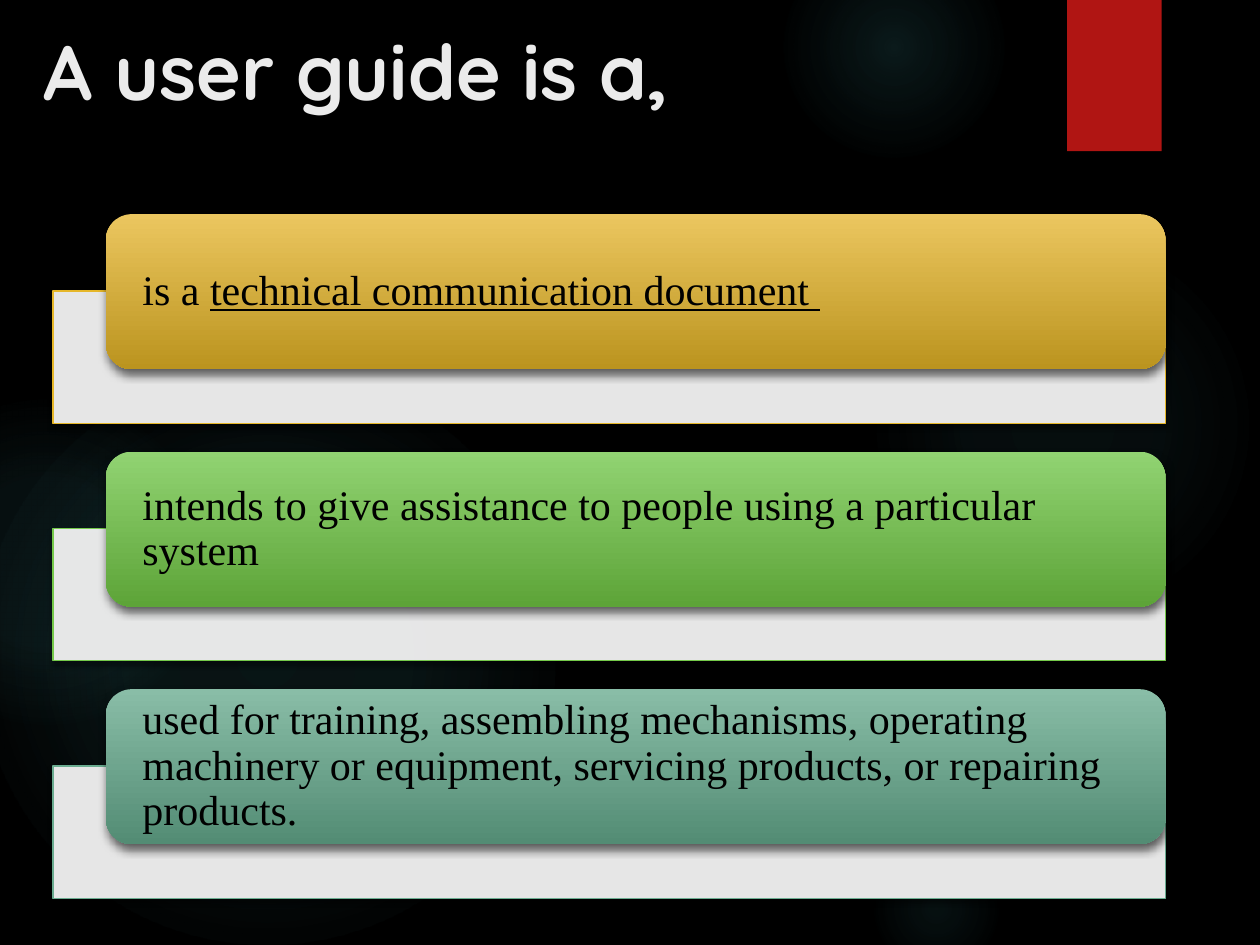
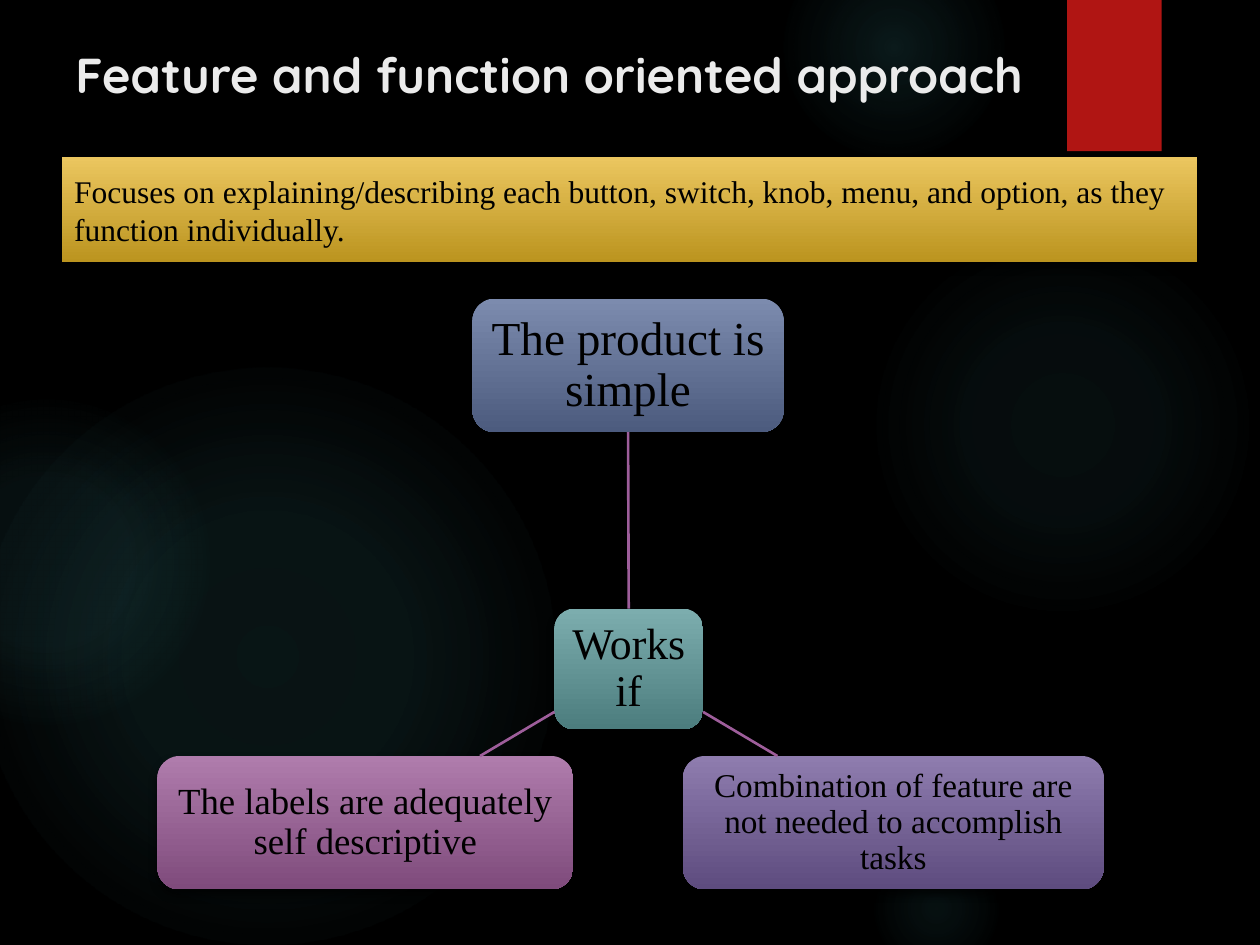
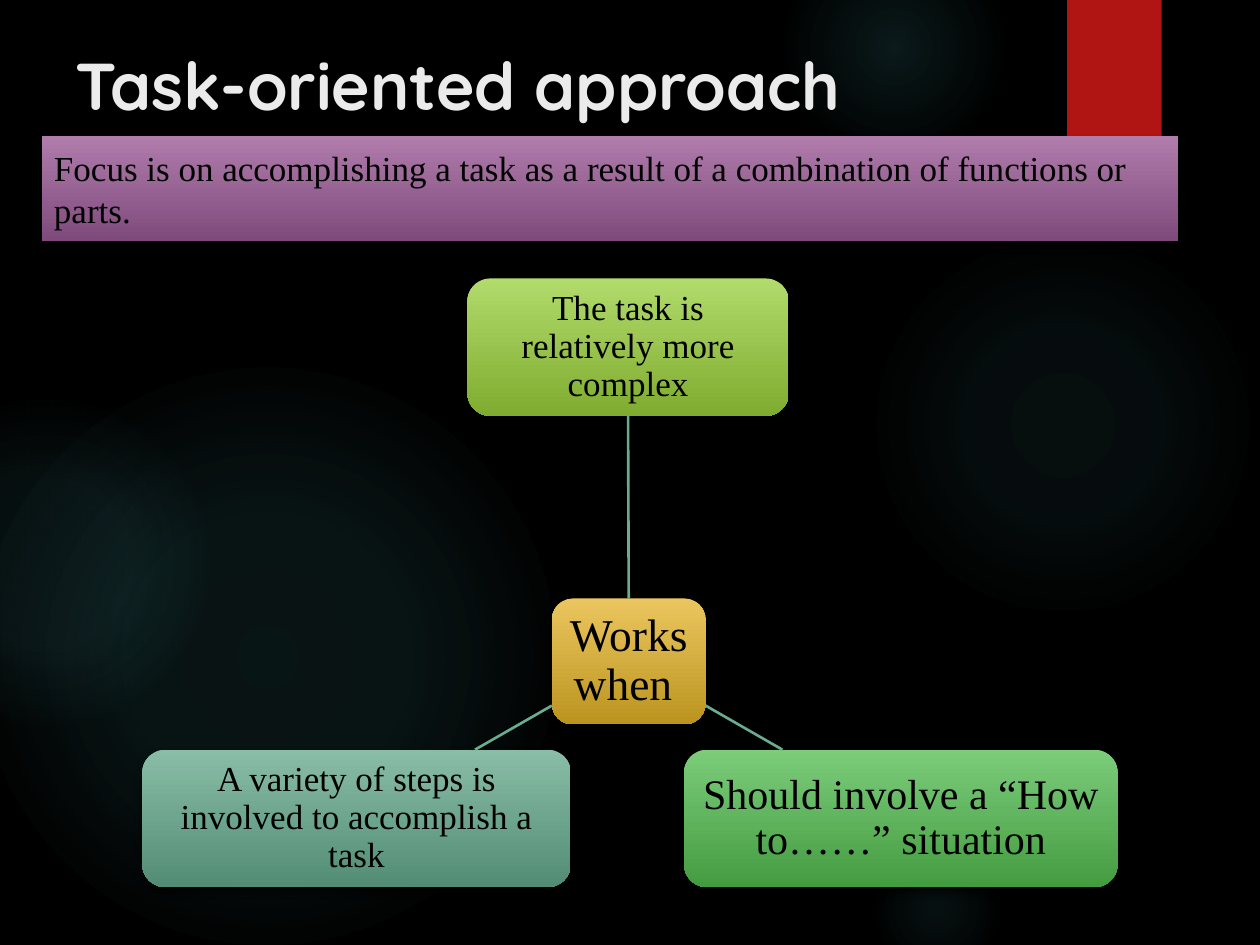
from lxml import etree
from pptx import Presentation
from pptx import util as u
from pptx.dml import color
from pptx.enum import shapes, text
from pptx.oxml import ns

BLACK, WHITE, RED, GLOW, TITLE = "000000", "FFFFFF", "B01513", "50B9C1", "EBEBEB"
GOLD = ("EBC65F", "BB941F")
GREEN = ("91D372", "5DA438")
SAGE = ("89BDA7", "538C74")
TEAL = ("7CADAE", "4C7D7E")
BLUE = ("7C8BAE", "4C5B7E")
VIOLET = ("8E7CAE", "5E4C7F")
PLUM = ("AF7CAC", "7F4B7C")
LIME = ("B1DB6B", "7FAC30")
LEAF = ("7CCC7A", "449C41")
TITLE_FONT, BODY_FONT = "Quicksand", "Times New Roman"
RECT = shapes.MSO_SHAPE.RECTANGLE
ROUND = shapes.MSO_SHAPE.ROUNDED_RECTANGLE
OVAL = shapes.MSO_SHAPE.OVAL
CENTER = text.PP_ALIGN.CENTER
GLOWS = [
    (6.89, 1.83, 3.08, ((0, 7), (36, 6), (69, 0))),
    (6.22, -0.5, 1.75, ((0, 14), (36, 7), (73, 0))),
    (6.89, 6.67, 1.08, ((0, 9), (36, 5), (66, 0))),
    (-0.17, 2.92, 4.58, ((0, 11), (36, 10), (75, 0))),
    (-0.92, 3.17, 2.58, ((0, 8), (36, 8), (72, 0))),
]


def rgb(value):
    return color.RGBColor.from_string(value)


def child(parent, tag, **attributes):
    values = {name: str(value) for name, value in attributes.items()}
    return etree.SubElement(parent, ns.qn("a:" + tag), values)


def add_color(parent, value, alpha=100):
    node = child(parent, "srgbClr", val=value)
    if alpha < 100:
        child(node, "alpha", val=alpha * 1000)


def add_box(page, kind, left, top, width, height):
    box = page.shapes.add_shape(kind, *map(u.Inches, (left, top, width, height)))
    box.shadow.inherit = False
    box.fill.background()
    box.line.fill.background()
    return box


def fill_solid(box, value, alpha=100):
    box.fill.solid()
    box.fill.fore_color.rgb = rgb(value)
    if alpha < 100:
        node = box._element.spPr.find(".//" + ns.qn("a:srgbClr"))
        child(node, "alpha", val=alpha * 1000)


def fill_gradient(box, stops, radial=False):
    properties = box._element.spPr
    gradient = etree.Element(ns.qn("a:gradFill"), rotWithShape="1")
    stop_list = child(gradient, "gsLst")
    for position, value, alpha in stops:
        add_color(child(stop_list, "gs", pos=position * 1000), value, alpha)
    if radial:
        shade = child(gradient, "path", path="circle")
        child(shade, "fillToRect", l=50000, t=50000, r=50000, b=50000)
    else:
        child(gradient, "lin", ang=5400000, scaled=0)
    properties.replace(properties.find(ns.qn("a:noFill")), gradient)


def add_shadow(box, alpha, blur, distance):
    effects = box._element.spPr.find(ns.qn("a:effectLst"))
    shadow = child(effects, "outerShdw", blurRad=u.Pt(blur), dist=u.Pt(distance),
                   dir=5400000, algn="ctr", rotWithShape=0)
    add_color(shadow, BLACK, alpha)


def write_text(box, spans, size, font=BODY_FONT, ink=BLACK, bold=False, align=text.PP_ALIGN.LEFT,
               anchor=text.MSO_ANCHOR.MIDDLE, spacing=None, insets=(0.1, 0.05)):
    frame = box.text_frame
    frame.word_wrap = True
    frame.vertical_anchor = anchor
    frame.margin_left = frame.margin_right = u.Inches(insets[0])
    frame.margin_top = frame.margin_bottom = u.Inches(insets[1])
    para = frame.paragraphs[0]
    para.alignment = align
    para.line_spacing = spacing
    for words, underline in [(spans, None)] if isinstance(spans, str) else spans:
        span = para.add_run()
        span.text = words
        span.font.name, span.font.size = font, u.Pt(size)
        span.font.bold, span.font.underline = bold, underline
        span.font.color.rgb = rgb(ink)


def add_panel(page, kind, place, shades, words, size, **layout):
    panel = add_box(page, kind, *place)
    fill_gradient(panel, [(0, shades[0], 100), (100, shades[1], 100)])
    add_shadow(panel, 60, 5, 3)
    write_text(panel, words, size, **layout)
    return panel


def add_page(deck, title, size, place=(0.5, 0.3, 9, 0.78)):
    page = deck.slides.add_slide(deck.slide_layouts[6])
    page.background.fill.solid()
    page.background.fill.fore_color.rgb = rgb(BLACK)
    for left, top, diameter, stops in GLOWS:
        glow = add_box(page, OVAL, left, top, diameter, diameter)
        fill_gradient(glow, [(position, GLOW, alpha) for position, alpha in stops], radial=True)
    ribbon = add_box(page, RECT, 8.47, 0, 0.75, 1.2)
    fill_solid(ribbon, RED)
    add_shadow(ribbon, 45, 3, 2)
    heading = page.shapes.add_textbox(*map(u.Inches, place))
    write_text(heading, title, size, font=TITLE_FONT, ink=TITLE, bold=True,
               anchor=text.MSO_ANCHOR.TOP)
    return page


def add_definition(page, top, shades, edge, words):
    tray = add_box(page, RECT, 0.42, top + 0.61, 8.83, 1.05)
    fill_solid(tray, WHITE, 90)
    tray.line.color.rgb = rgb(edge)
    tray.line.width = u.Pt(0.75)
    add_shadow(tray, 45, 3, 2)
    add_panel(page, ROUND, (0.84, top, 8.41, 1.23), shades, words, 24,
              spacing=0.9, insets=(0.23, 0))


def add_link(page, ink, start=(0, 0), end=(0, 0)):
    link = page.shapes.add_connector(shapes.MSO_CONNECTOR.STRAIGHT,
                                     *map(u.Inches, (*start, *end)))
    link.line.color.rgb = rgb(ink)
    link.line.width = u.Pt(1.5)
    child(link._element.spPr, "effectLst")
    return link


def add_condition_tree(page, ink, nodes, branches):
    hub, head, *_ = [
        add_panel(page, ROUND, place, shades, words, size, align=CENTER,
                  spacing=0.9, insets=(inset, inset))
        for place, shades, words, size, inset in nodes
    ]
    stem = add_link(page, ink)
    stem.begin_connect(hub, 0)
    stem.end_connect(head, 2)
    for start, end in branches:
        add_link(page, ink, start, end)


def main():
    deck = Presentation()
    deck.slide_width, deck.slide_height = u.Inches(10), u.Inches(7.5)

    page = add_page(deck, "A user guide is a,", 44, (0.25, 0.14, 7.72, 0.94))
    definitions = [
        (GOLD, "E6B729", [("is a ", None), ("technical communication document ", True)]),
        (GREEN, "75C94A", "intends to give assistance to people using a particular system"),
        (SAGE, "6AAC90", "used for training, assembling mechanisms, operating machinery or "
                         "equipment, servicing products, or repairing products."),
    ]
    for index, definition in enumerate(definitions):
        add_definition(page, 1.7 + index * 1.885, *definition)

    page = add_page(deck, "Feature and function oriented approach", 28)
    add_condition_tree(page, "9E5E9B", [
        ((4.4, 4.83, 1.18, 0.96), TEAL, "Works if", 25, 0.07),
        ((3.75, 2.37, 2.47, 1.06), BLUE, "The product is simple", 27, 0.07),
        ((5.42, 6, 3.34, 1.06), VIOLET,
         "Combination of feature are not needed to accomplish tasks", 19, 0.05),
        ((1.25, 6, 3.3, 1.06), PLUM, "The labels are adequately self descriptive", 21, 0.06),
    ], [((5.58, 5.65), (6.17, 6)), ((4.4, 5.65), (3.81, 6))])
    add_panel(page, RECT, (0.49, 1.25, 9.01, 0.83), GOLD,
              "Focuses on explaining/describing each button, switch, knob, menu, and option, "
              "as they function individually.", 18)

    page = add_page(deck, "Task-oriented approach", 37.8)
    add_condition_tree(page, "6AAC90", [
        ((4.38, 4.75, 1.22, 1), GOLD, "Works when ", 26, 0.07),
        ((3.71, 2.21, 2.55, 1.09), LIME, "The task is relatively more complex", 20, 0.06),
        ((5.43, 5.95, 3.44, 1.09), LEAF, "Should involve a “How to……” situation", 24, 0.07),
        ((1.13, 5.95, 3.4, 1.09), SAGE,
         "A variety of steps is involved to accomplish a task", 20, 0.06),
    ], [((5.6, 5.6), (6.21, 5.95)), ((4.38, 5.6), (3.77, 5.95))])
    add_panel(page, RECT, (0.33, 1.08, 9.02, 0.83), PLUM,
              "Focus is on accomplishing a task as a result of a combination of functions "
              "or parts.", 20)

    deck.save("out.pptx")


if __name__ == "__main__":
    main()
